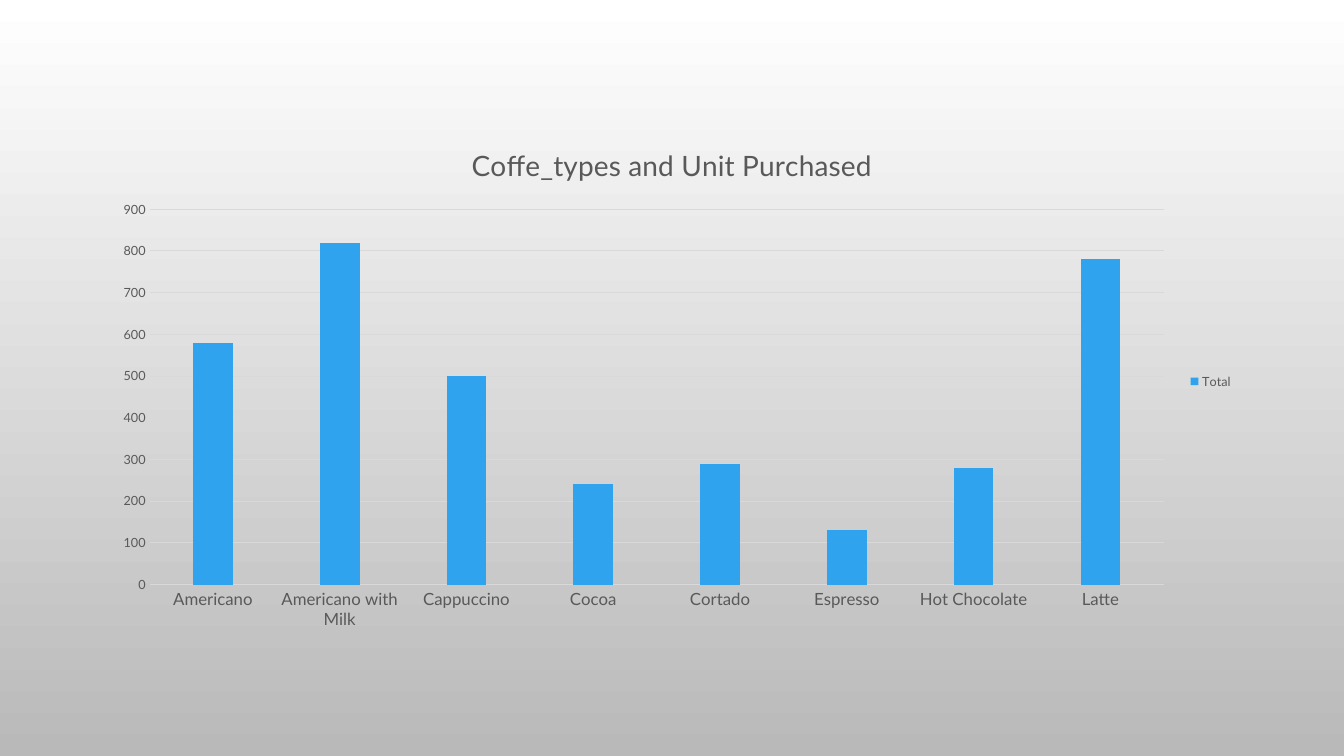
from dataclasses import dataclass

import pptx
import pptx.chart.data
import pptx.dml.color
import pptx.enum.chart
import pptx.util


@dataclass(frozen=True)
class Theme:
    font: str = "Lato"
    text: str = "595959"
    rule: str = "D9D9D9"
    bar: str = "2FA3EE"
    background: tuple = ("FFFFFF", "B9B9B9")
    title_size: int = 20
    category_size: int = 12
    small_size: int = 9
    rule_width: float = 0.75


UNITS_PURCHASED = {
    "Americano": 580,
    "Americano with Milk": 820,
    "Cappuccino": 500,
    "Cocoa": 240,
    "Cortado": 290,
    "Espresso": 130,
    "Hot Chocolate": 280,
    "Latte": 780,
}


def rgb(value):
    return pptx.dml.color.RGBColor.from_string(value)


def format_font(font, *, name, size, color):
    font.name = name
    font.size = pptx.util.Pt(size)
    font.bold = False
    font.color.rgb = rgb(color)


def write_text(frame, text, **style):
    """Put one formatted span of text into a text frame."""
    span = frame.paragraphs[0].add_run()
    span.text = text
    format_font(span.font, **style)


class SlideBuilder:
    def __init__(self, deck, theme):
        self.deck = deck
        self.theme = theme
        self.page = deck.slides.add_slide(deck.slide_layouts[6])

    def style(self, size):
        return {"name": self.theme.font, "size": size, "color": self.theme.text}

    def rule(self, line):
        line.color.rgb = rgb(self.theme.rule)
        line.width = pptx.util.Pt(self.theme.rule_width)

    def background(self):
        fill = self.page.background.fill
        fill.gradient()
        fill.gradient_angle = 270
        for stop, color, position in zip(
            fill.gradient_stops, self.theme.background, (0, 1)
        ):
            stop.color.rgb = rgb(color)
            stop.position = position

    def column_chart(self, title, series_name, values, *, left, top, width, height):
        """Add a column chart placed by shares of the slide's size."""
        data = pptx.chart.data.CategoryChartData()
        data.categories = list(values)
        data.add_series(series_name, list(values.values()))
        across, down = self.deck.slide_width, self.deck.slide_height
        chart = self.page.shapes.add_chart(
            pptx.enum.chart.XL_CHART_TYPE.COLUMN_CLUSTERED,
            int(left * across), int(top * down),
            int(width * across), int(height * down),
            data,
        ).chart
        format_font(chart.font, **self.style(self.theme.small_size))
        chart.has_title = True
        write_text(chart.chart_title.text_frame, title,
                   **self.style(self.theme.title_size))
        chart.chart_title.include_in_layout = False
        self.columns(chart.plots[0])
        self.axes(chart)
        self.legend(chart)

    def columns(self, plot):
        plot.gap_width = 219
        plot.overlap = -27
        plot.vary_by_categories = False
        series = plot.series[0]
        series.invert_if_negative = False
        series.format.fill.solid()
        series.format.fill.fore_color.rgb = rgb(self.theme.bar)

    def axes(self, chart):
        sizes = (
            (chart.category_axis, self.theme.category_size),
            (chart.value_axis, self.theme.small_size),
        )
        for axis, size in sizes:
            axis.major_tick_mark = pptx.enum.chart.XL_TICK_MARK.NONE
            axis.minor_tick_mark = pptx.enum.chart.XL_TICK_MARK.NONE
            format_font(axis.tick_labels.font, **self.style(size))
        self.rule(chart.category_axis.format.line)
        scale = chart.value_axis
        scale.minimum_scale, scale.maximum_scale, scale.major_unit = 0, 900, 100
        scale.format.line.fill.background()
        scale.has_major_gridlines = True
        self.rule(scale.major_gridlines.format.line)

    def legend(self, chart):
        chart.has_legend = True
        chart.legend.position = pptx.enum.chart.XL_LEGEND_POSITION.RIGHT
        chart.legend.include_in_layout = False
        format_font(chart.legend.font, **self.style(self.theme.small_size))


def main():
    deck = pptx.Presentation()
    deck.slide_width = pptx.util.Inches(13.33)
    deck.slide_height = pptx.util.Inches(7.5)
    builder = SlideBuilder(deck, Theme())
    builder.background()
    builder.column_chart(
        "Coffe_types and Unit Purchased", "Total", UNITS_PURCHASED,
        left=0.075, top=0.164, width=0.85, height=0.681,
    )
    deck.save("out.pptx")


if __name__ == "__main__":
    main()
